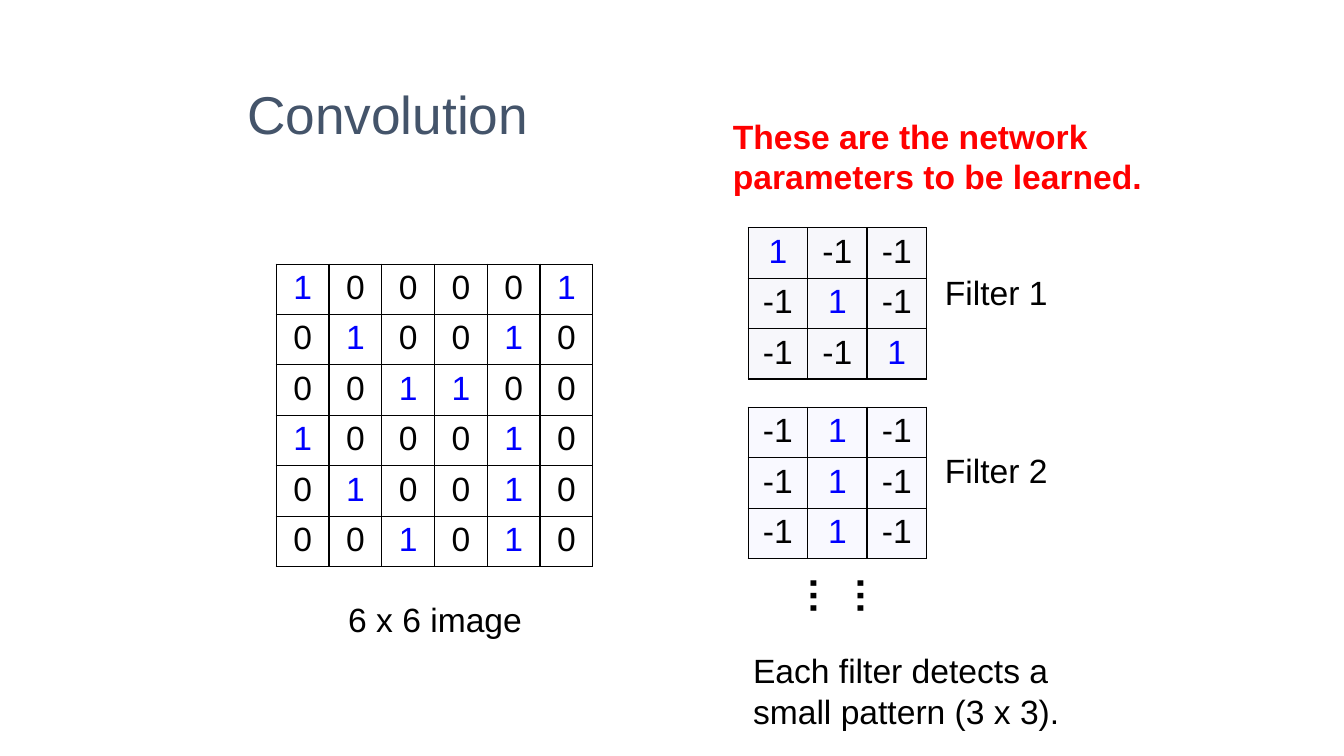
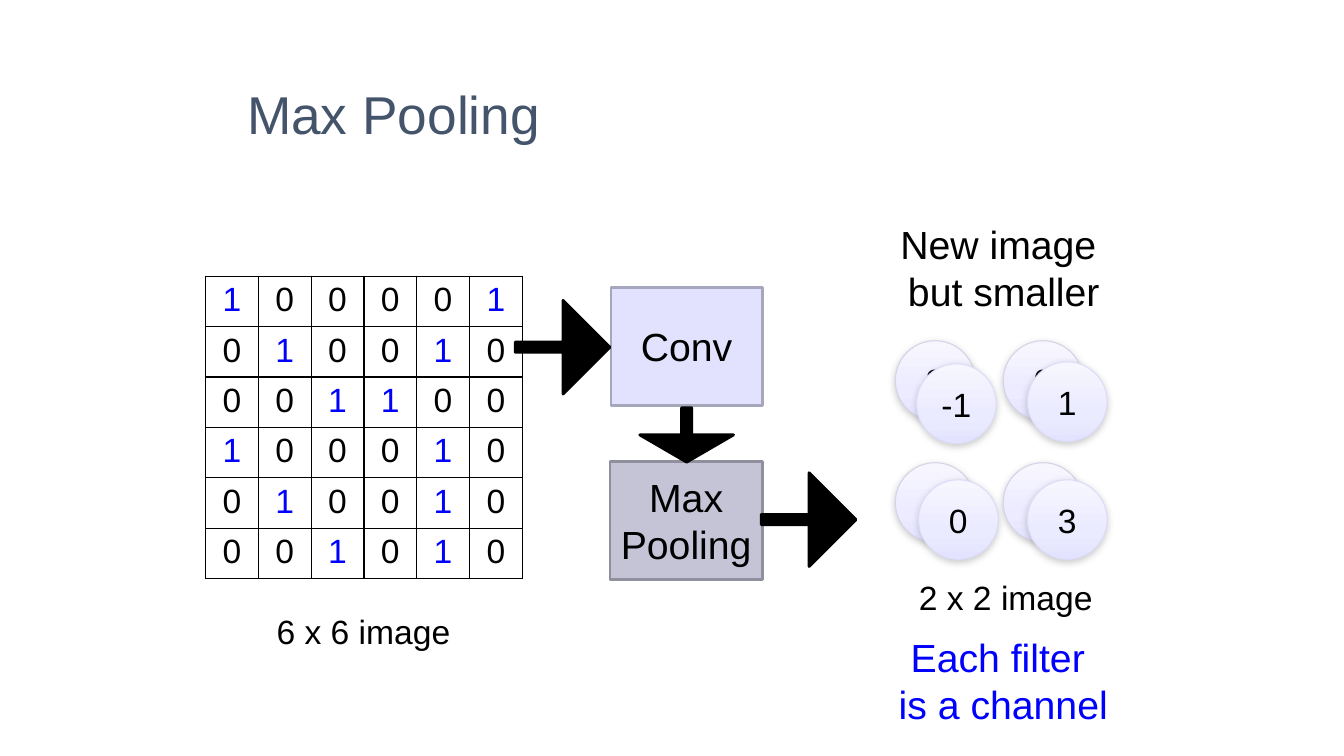
from copy import deepcopy

from pptx import Presentation
from pptx.dml.color import RGBColor
from pptx.enum.shapes import MSO_SHAPE as Shape
from pptx.enum.text import MSO_ANCHOR as Anchor, PP_ALIGN as Align
from pptx.oxml import parse_xml
from pptx.oxml.ns import nsdecls, qn
from pptx.util import Emu, Pt

PX = 9144  # EMU in one px, 100 px to the inch
FONT = "Arial"
COLORS = {
    "title": "44546A", "black": "000000", "blue": "0000FF", "red": "FF0000",
    "filter 1": "F7F7FB", "filter 2": "F9F9FF",
    "conv": "E2E2FF", "conv line": "A6A6BC",
    "pool": "C4C4D6", "pool line": "8F8F9D",
    "back line": "D4D3E7", "front line": "DCDCFA", "shadow": "808080",
}
GRADIENTS = {
    "back": [(0, "F7F6FF"), (0.65, "ECEBFF"), (1, "E5E3FF")],
    "front": [(0, "F6F6FF"), (0.65, "EBEBFF"), (1, "E3E3FF")],
}

# Content: matrices
IMAGE = [
    [1, 0, 0, 0, 0, 1],
    [0, 1, 0, 0, 1, 0],
    [0, 0, 1, 1, 0, 0],
    [1, 0, 0, 0, 1, 0],
    [0, 1, 0, 0, 1, 0],
    [0, 0, 1, 0, 1, 0],
]
FILTERS = [
    ("Filter 1", 226, 265, [[1, -1, -1], [-1, 1, -1], [-1, -1, 1]]),
    ("Filter 2", 404, 441, [[-1, 1, -1]] * 3),
]

# Content: texts as (text, (left, top, width, height), format)
CONVOLUTION_TEXTS = [
    ("6 x 6 image", (303, 589, 257, 50), {"align": Align.CENTER}),
    ("……", (804, 549, 77, 104), {"size": 28, "bold": True, "rotation": 90}),
    ("These are the network parameters to be learned.", (717, 110, 433, 91),
     {"color": "red", "bold": True}),
    ("Each filter detects a small pattern (3 x 3).", (737, 640, 389, 91), {}),
]
POOLING_TEXTS = [
    ("6 x 6 image", (232, 601, 257, 51), {"align": Align.CENTER}),
    ("2 x 2 image", (869, 567, 257, 51), {"align": Align.CENTER}),
    ("Each filter \nis a channel", (871, 623, 248, 105),
     {"size": 28, "color": "blue", "align": Align.CENTER}),
    ("New image \nbut smaller", (871, 214, 249, 104),
     {"size": 28, "align": Align.CENTER}),
]

# Content: pooled values as (layer, text, left, top), back to front
CIRCLE = 79
CIRCLES = [
    ("back", "3", 888, 338), ("back", "0", 995, 338),
    ("back", "", 995, 459), ("back", "", 888, 459),
    ("front", "-1", 909, 361), ("front", "1", 1019, 359),
    ("front", "3", 1019, 476), ("front", "0", 911, 476),
]
STEPS = [
    ("Conv", "conv", (606, 285, 150, 117)),
    ("Max\nPooling", "pool", (605, 458, 151, 117)),
]
ARROWS = [((511, 298, 94, 93), 0), ((755, 469, 94, 93), 0),
          ((654, 385, 54, 93), 90)]


def rgb(name):
    return RGBColor.from_string(COLORS.get(name, name))


def px(*lengths):
    return [Emu(length * PX) for length in lengths]


def write(frame, text, size=24, color="black", bold=False, align=Align.LEFT,
          anchor=Anchor.TOP):
    frame.word_wrap = True
    frame.vertical_anchor = anchor
    for index, line in enumerate(text.split("\n")):
        para = frame.add_paragraph() if index else frame.paragraphs[0]
        para.alignment = align
        span = para.add_run()
        span.text = line
        span.font.name, span.font.size, span.font.bold = FONT, Pt(size), bold
        span.font.color.rgb = rgb(color)


def add_page(deck, title):
    page = deck.slides.add_slide(deck.slide_layouts[5])
    box = page.shapes.title
    box.left, box.top, box.width, box.height = px(235, 40, 862, 145)
    write(box.text_frame, title, size=38, color="title", anchor=Anchor.MIDDLE)
    return page


def add_text(page, text, place, rotation=0, **style):
    box = page.shapes.add_textbox(*px(*place))
    box.rotation = rotation
    write(box.text_frame, text, **style)


def add_matrix(page, values, left, top, width, fill=None):
    rows, columns = len(values), len(values[0])
    table = page.shapes.add_table(
        rows, columns, *px(left, top, width, 50 * rows)).table
    table.first_row = table.horz_banding = False
    for column in table.columns:
        column.width = Emu(width * PX // columns)
    for r, row in enumerate(values):
        for c, value in enumerate(row):
            cell = table.cell(r, c)
            write(cell.text_frame, str(value), align=Align.CENTER,
                  color="blue" if value == 1 else "black")
            properties = cell._tc.get_or_add_tcPr()
            for side in "LRTB":
                properties.append(parse_xml(
                    f'<a:ln{side} {nsdecls("a")} w="12700"><a:solidFill>'
                    f'<a:srgbClr val="{COLORS["black"]}"/></a:solidFill>'
                    f'</a:ln{side}>'))
            if fill:
                cell.fill.solid()
                cell.fill.fore_color.rgb = rgb(fill)
            else:
                cell.fill.background()


def add_figure(page, kind, place, line, line_width, fill=None):
    figure = page.shapes.add_shape(kind, *px(*place))
    figure.shadow.inherit = False
    figure.line.color.rgb = rgb(line)
    figure.line.width = Pt(line_width)
    if fill:
        figure.fill.solid()
        figure.fill.fore_color.rgb = rgb(fill)
    return figure


def add_circle(page, layer, text, left, top):
    circle = add_figure(page, Shape.OVAL, (left, top, CIRCLE, CIRCLE),
                        f"{layer} line", 0.75)
    circle.fill.gradient()
    circle.fill.gradient_angle = 270
    properties = circle.element.spPr
    stops = properties.find(".//" + qn("a:gsLst"))
    stops.append(deepcopy(stops[-1]))
    for stop, (position, color) in zip(circle.fill.gradient_stops,
                                       GRADIENTS[layer]):
        stop.position = position
        stop.color.rgb = rgb(color)
    properties.find(qn("a:effectLst")).append(parse_xml(
        f'<a:outerShdw {nsdecls("a")} blurRad="63500" dist="20320" '
        f'dir="5400000" rotWithShape="0"><a:srgbClr val="{COLORS["shadow"]}">'
        '<a:alpha val="38000"/></a:srgbClr></a:outerShdw>'))
    if text:
        write(circle.text_frame, text, align=Align.CENTER,
              anchor=Anchor.MIDDLE)


def add_arrow(page, place, rotation):
    arrow = add_figure(page, Shape.RIGHT_ARROW, place, "black", 2, "black")
    arrow.adjustments[0], arrow.adjustments[1] = 0.11, 0.5
    arrow.rotation = rotation


def build_convolution(deck):
    page = add_page(deck, "Convolution")
    add_matrix(page, IMAGE, 274, 262, 314)
    for name, top, label_top, values in FILTERS:
        add_matrix(page, values, 742, top, 177, name.lower())
        add_text(page, name, (909, label_top, 158, 51), align=Align.CENTER)
    for text, place, style in CONVOLUTION_TEXTS:
        add_text(page, text, place, **style)


def build_pooling(deck):
    page = add_page(deck, "Max Pooling")
    add_matrix(page, IMAGE, 204, 274, 314)
    for circle in CIRCLES:
        add_circle(page, *circle)
    for text, place, style in POOLING_TEXTS:
        add_text(page, text, place, **style)
    for text, color, place in STEPS:
        step = add_figure(page, Shape.RECTANGLE, place, f"{color} line", 2,
                          color)
        write(step.text_frame, text, size=28, align=Align.CENTER,
              anchor=Anchor.MIDDLE)
    for place, rotation in ARROWS:
        add_arrow(page, place, rotation)


def main():
    deck = Presentation()
    deck.slide_width, deck.slide_height = px(1333, 750)
    build_convolution(deck)
    build_pooling(deck)
    deck.save("out.pptx")


if __name__ == "__main__":
    main()
